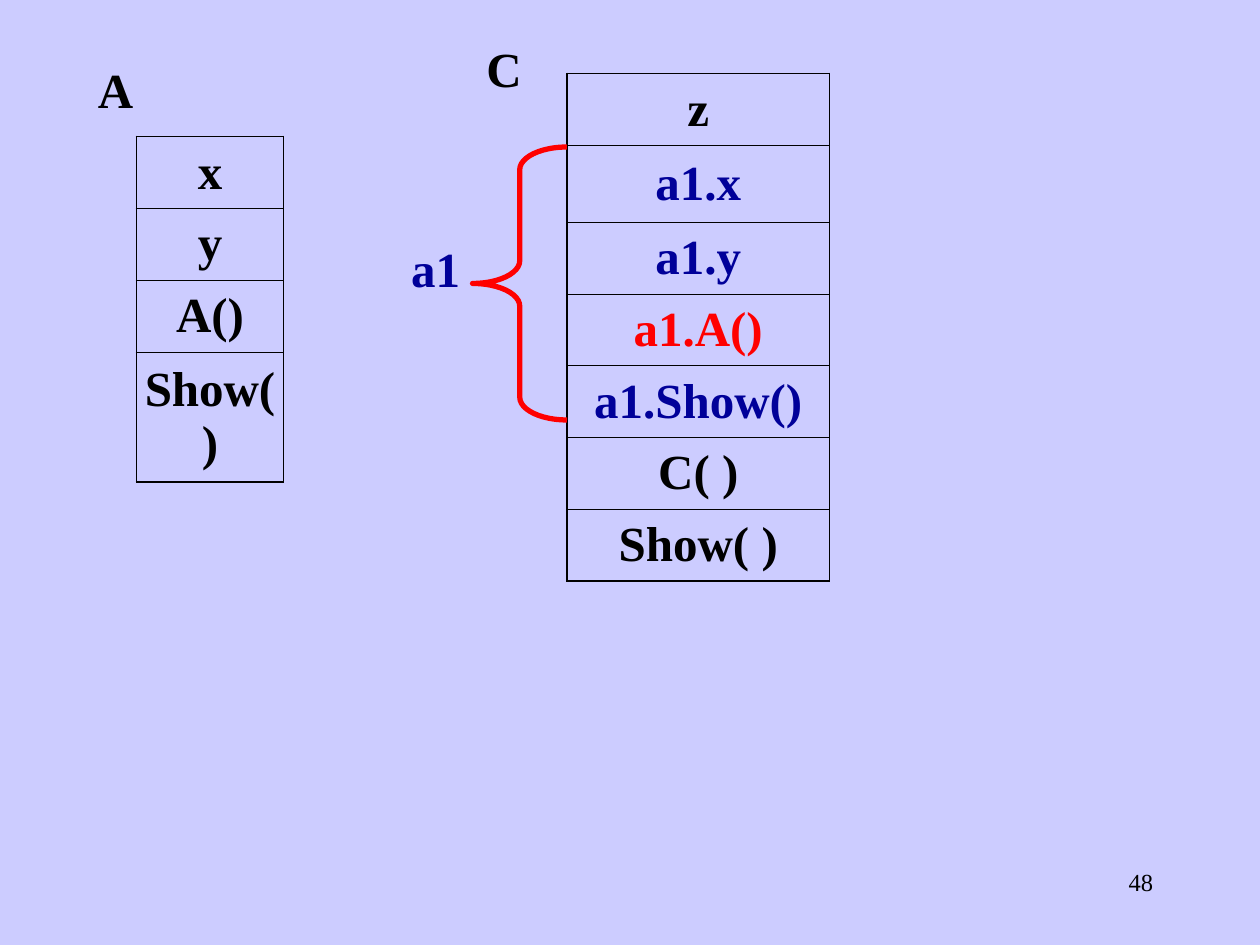
from pptx import Presentation
from pptx.dml.color import RGBColor
from pptx.enum.shapes import MSO_SHAPE as Shape
from pptx.enum.text import MSO_ANCHOR as Anchor, PP_ALIGN as Align
from pptx.oxml import parse_xml
from pptx.oxml.ns import nsdecls
from pptx.util import Inches, Pt

COLORS = {"back": "CCCCFF", "ink": "000000", "member": "000099", "accent": "FF0000"}


class MemoryPage:
    """Draws class layouts on a grid of twelve units to the inch."""

    font = "Times New Roman"
    size = 28
    outer, inner = 1.08, 0.45

    def __init__(self, deck):
        self.page = deck.slides.add_slide(deck.slide_layouts[6])
        fill = self.page.background.fill
        fill.solid()
        fill.fore_color.rgb = self.color("back")

    def color(self, name):
        return RGBColor.from_string(COLORS[name])

    def grid(self, *units):
        return [Inches(unit / 12) for unit in units]

    def set_text(self, frame, text, color="ink", size=size, bold=True, align=Align.CENTER):
        frame.text = text
        para = frame.paragraphs[0]
        para.alignment = align
        span = para.runs[0].font
        span.name, span.size, span.bold = self.font, Pt(size), bold
        span.color.rgb = self.color(color)
        return para

    def label(self, text, left, top, width, color="ink"):
        box = self.page.shapes.add_textbox(*self.grid(left, top, width, 6.5))
        frame = box.text_frame
        frame.word_wrap = True
        frame.margin_left = frame.margin_right = Inches(0.02)
        frame.margin_top = frame.margin_bottom = Inches(0.01)
        self.set_text(frame, text, color).line_spacing = 1.1

    def number(self, text, left, top, width, height):
        box = self.page.shapes.add_textbox(*self.grid(left, top, width, height))
        box.text_frame.word_wrap = True
        self.set_text(box.text_frame, text, size=14, bold=False, align=Align.RIGHT)

    def border(self, cell, first, last):
        widths = {"L": self.outer, "R": self.outer,
                  "T": self.outer if first else self.inner,
                  "B": self.outer if last else self.inner}
        properties = cell._tc.get_or_add_tcPr()
        for place, (side, width) in enumerate(widths.items()):
            properties.insert(place, parse_xml(
                f'<a:ln{side} {nsdecls("a")} w="{Pt(width)}"><a:solidFill>'
                f'<a:srgbClr val="{COLORS["ink"]}"/></a:solidFill></a:ln{side}>'))

    def members(self, rows, left, top, width):
        height = sum(row[2] for row in rows)
        table = self.page.shapes.add_table(
            len(rows), 1, *self.grid(left, top, width), Inches(height)).table
        table.first_row = table.horz_banding = False
        for index, (text, color, row_height) in enumerate(rows):
            table.rows[index].height = Inches(row_height)
            cell = table.cell(index, 0)
            cell.margin_left = cell.margin_right = Inches(0.02)
            cell.vertical_anchor = Anchor.MIDDLE
            cell.fill.background()
            self.set_text(cell.text_frame, text, color)
            self.border(cell, index == 0, index == len(rows) - 1)

    def brace(self, left, top, width, height):
        brace = self.page.shapes.add_shape(
            Shape.LEFT_BRACE, *self.grid(left, top, width, height))
        brace.shadow.inherit = False
        brace.adjustments[0] = 0.24
        brace.fill.background()
        brace.line.color.rgb = self.color("accent")
        brace.line.width = Pt(3)


def main():
    deck = Presentation()
    deck.slide_width, deck.slide_height = Inches(10), Inches(7.5)
    page = MemoryPage(deck)
    row = 0.57
    page.number("48", 86, 82, 25, 6)
    page.members([("x", "ink", row), ("y", "ink", row), ("A()", "ink", row),
                  ("Show()", "ink", 1.03)], 13, 13, 14)
    page.members([("z", "ink", row), ("a1.x", "member", 0.61),
                  ("a1.y", "member", row), ("a1.A()", "accent", row),
                  ("a1.Show()", "member", row), ("C( )", "ink", row),
                  ("Show( )", "ink", row)], 54, 7, 25)
    page.brace(45, 14, 9, 26)
    page.label("a1", 38, 22, 7, "member")
    page.label("A", 7, 5, 8)
    page.label("C", 44, 3, 8)
    deck.save("out.pptx")


if __name__ == "__main__":
    main()
